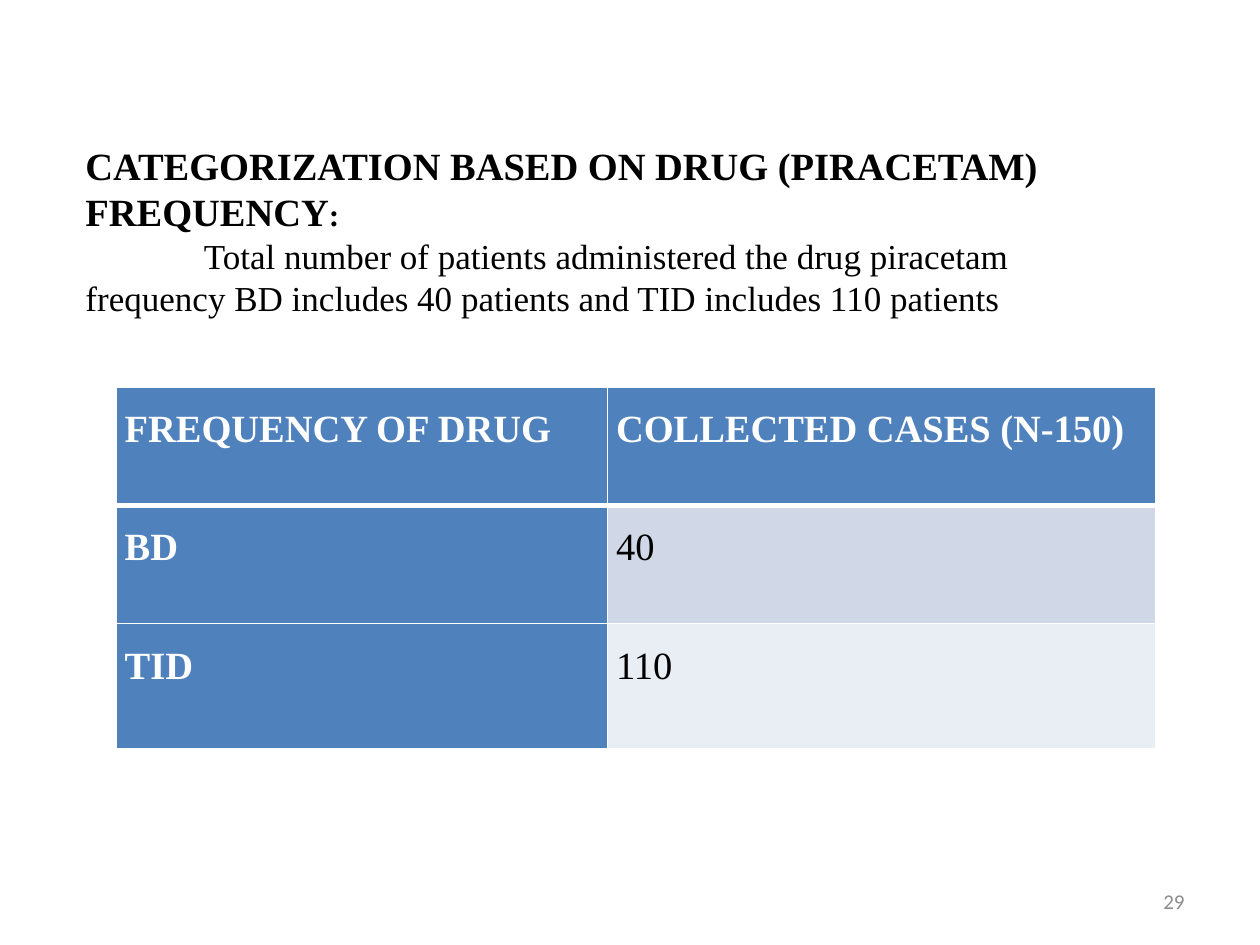
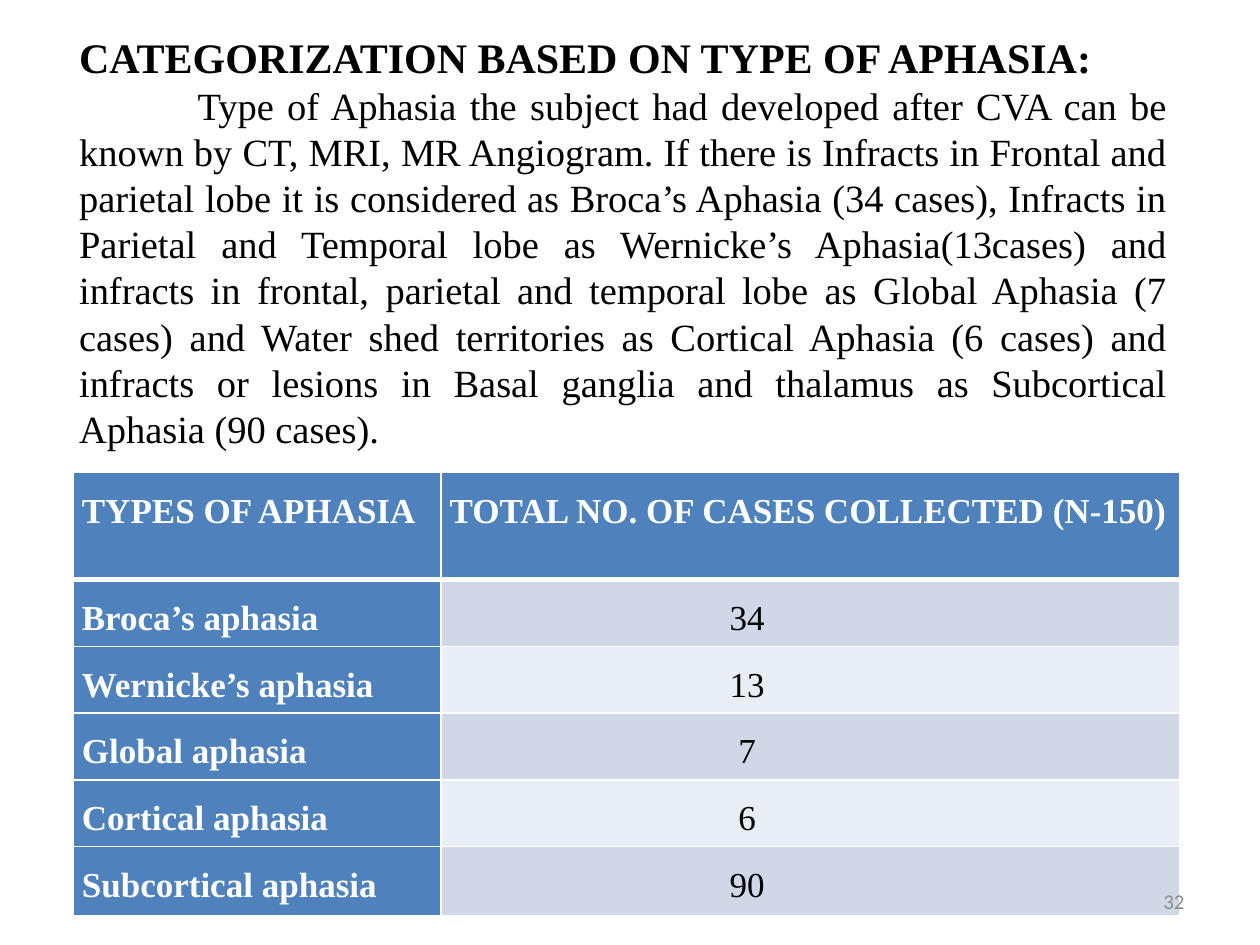
from lxml.etree import SubElement
from pptx import Presentation
from pptx.dml.color import RGBColor
from pptx.enum.text import MSO_ANCHOR as ANCHOR, PP_ALIGN as ALIGN
from pptx.oxml.ns import qn
from pptx.util import Inches, Pt

COLORS = {"header": "4F81BD", "band_dark": "D0D8E8", "band_light": "E9EDF4",
          "white": "FFFFFF", "black": "000000", "number": "8C8C8C"}


def rgb(name):
    """Return the named colour."""
    return RGBColor.from_string(COLORS[name])


class Deck:
    """Hold the shared style and the current slide."""
    body_font = "Times New Roman"
    number_font = "Calibri"
    indent = 0.94

    def __init__(self):
        """Start an empty 10 by 7.5 inch presentation."""
        self.prs = Presentation()
        self.prs.slide_width, self.prs.slide_height = Inches(10), Inches(7.5)

    def slide(self):
        """Add a blank slide and make it current."""
        self.s = self.prs.slides.add_slide(self.prs.slide_layouts[6])

    def style(self, p, size, color="black", bold=False, align=ALIGN.LEFT, font=None):
        """Set the font and alignment of a paragraph."""
        p.alignment = align
        p.font.name, p.font.size, p.font.bold = font or self.body_font, Pt(size), bold
        p.font.color.rgb = rgb(color)

    def box(self, at, anchor):
        """Add a wrapping text box and return its text frame."""
        tf = self.s.shapes.add_textbox(*map(Inches, at)).text_frame
        tf.word_wrap, tf.vertical_anchor = True, anchor
        return tf

    def heading(self, at, title, title_size, body, body_size, colon_size=None,
                anchor=ANCHOR.TOP, align=ALIGN.LEFT, bottom=0.05):
        """Add a bold title followed by an indented paragraph."""
        tf = self.box(at, anchor)
        tf.margin_bottom = Inches(bottom)
        p = tf.paragraphs[0]
        self.style(p, title_size, bold=True)
        p.add_run().text = title
        r = p.add_run()
        r.text = ":"
        if colon_size:
            r.font.size = Pt(colon_size)
        p = tf.add_paragraph()
        self.style(p, body_size, align=align)
        p.add_run().text = body
        p._p.get_or_add_pPr().set("indent", str(Inches(self.indent)))

    def borders(self, cell, top, bottom):
        """Draw white borders around a cell."""
        tc_pr = cell._tc.get_or_add_tcPr()
        for side, width in (("L", 1), ("R", 1), ("T", top), ("B", bottom)):
            ln = SubElement(tc_pr, qn(f"a:ln{side}"), w=str(Pt(width)))
            fill = SubElement(ln, qn("a:solidFill"))
            SubElement(fill, qn("a:srgbClr"), val=COLORS["white"])

    def table(self, left, top, widths, heights, rows, size, centre_values=False):
        """Add a banded table with a coloured header row and first column."""
        frame = self.s.shapes.add_table(
            len(rows), len(widths), Inches(left), Inches(top),
            Inches(sum(widths)), Inches(sum(heights)))
        tbl = frame.table
        tbl.first_col = True
        for col, width in zip(tbl.columns, widths):
            col.width = Inches(width)
        for i, (row, height) in enumerate(zip(rows, heights)):
            tbl.rows[i].height = Inches(height)
            for j, text in enumerate(row):
                cell, head = tbl.cell(i, j), i == 0 or j == 0
                cell.margin_left = cell.margin_right = Inches(0.07)
                cell.margin_top = cell.margin_bottom = 0
                self.borders(cell, 3 if i == 1 else 1, 3 if i == 0 else 1)
                cell.fill.solid()
                band = "band_dark" if i % 2 else "band_light"
                cell.fill.fore_color.rgb = rgb("header" if head else band)
                centred = centre_values and not head
                if centred:
                    cell.margin_right = Inches(1.07)
                p = cell.text_frame.paragraphs[0]
                p.add_run().text = text
                p.line_spacing = 1.5
                self.style(p, size, "white" if head else "black", head,
                           ALIGN.CENTER if centred else ALIGN.LEFT)

    def number(self, value):
        """Add the slide number."""
        p = self.box((7.17, 6.95, 2.33, 0.4), ANCHOR.MIDDLE).paragraphs[0]
        p.add_run().text = str(value)
        self.style(p, 12, "number", align=ALIGN.RIGHT, font=self.number_font)


def main():
    """Build both slides and save them."""
    deck = Deck()

    deck.slide()
    deck.table(0.92, 3.07, [3.9, 4.35], [0.94, 0.94, 0.99],
               [("FREQUENCY OF DRUG", "COLLECTED CASES (N-150)"),
                ("BD", "40"), ("TID", "110")], 22)
    deck.heading((0.58, 1.08, 8.25, 1.99),
                 "CATEGORIZATION BASED ON DRUG (PIRACETAM) FREQUENCY", 22,
                 "Total number of patients administered the drug piracetam "
                 "frequency BD includes 40 patients and TID includes 110 patients",
                 20, colon_size=18)
    deck.number(29)

    deck.slide()
    deck.table(0.58, 3.75, [2.92, 5.86], [0.85] + [0.53] * 4 + [0.55],
               [("TYPES OF APHASIA", "TOTAL NO. OF CASES COLLECTED (N-150)"),
                ("Broca’s aphasia", "34"), ("Wernicke’s aphasia", "13"),
                ("Global aphasia", "7"), ("Cortical aphasia", "6"),
                ("Subcortical aphasia", "90")], 20, centre_values=True)
    deck.heading((0.53, 0.18, 8.83, 3.77),
                 "CATEGORIZATION BASED ON TYPE OF APHASIA", 24,
                 "Type of Aphasia the subject had developed after CVA can be known "
                 "by CT, MRI, MR Angiogram. If there is Infracts in Frontal and "
                 "parietal lobe it is considered as Broca’s Aphasia (34 cases), "
                 "Infracts in Parietal and Temporal lobe as Wernicke’s "
                 "Aphasia(13cases) and infracts in frontal, parietal and temporal "
                 "lobe as Global Aphasia (7 cases) and Water shed territories as "
                 "Cortical Aphasia (6 cases) and infracts or lesions in Basal ganglia "
                 "and thalamus as Subcortical Aphasia (90 cases).",
                 22, anchor=ANCHOR.MIDDLE, align=ALIGN.JUSTIFY, bottom=0.35)
    deck.number(32)

    deck.prs.save("out.pptx")


if __name__ == "__main__":
    main()
